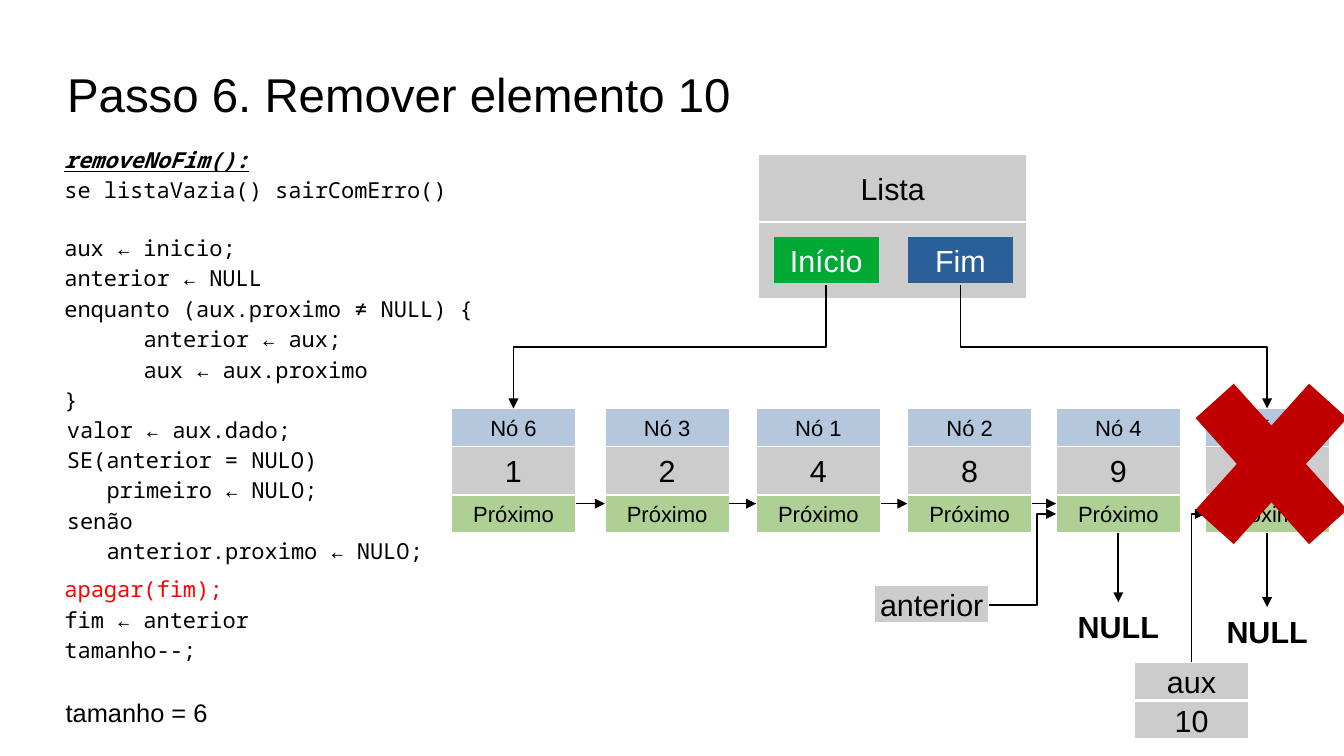
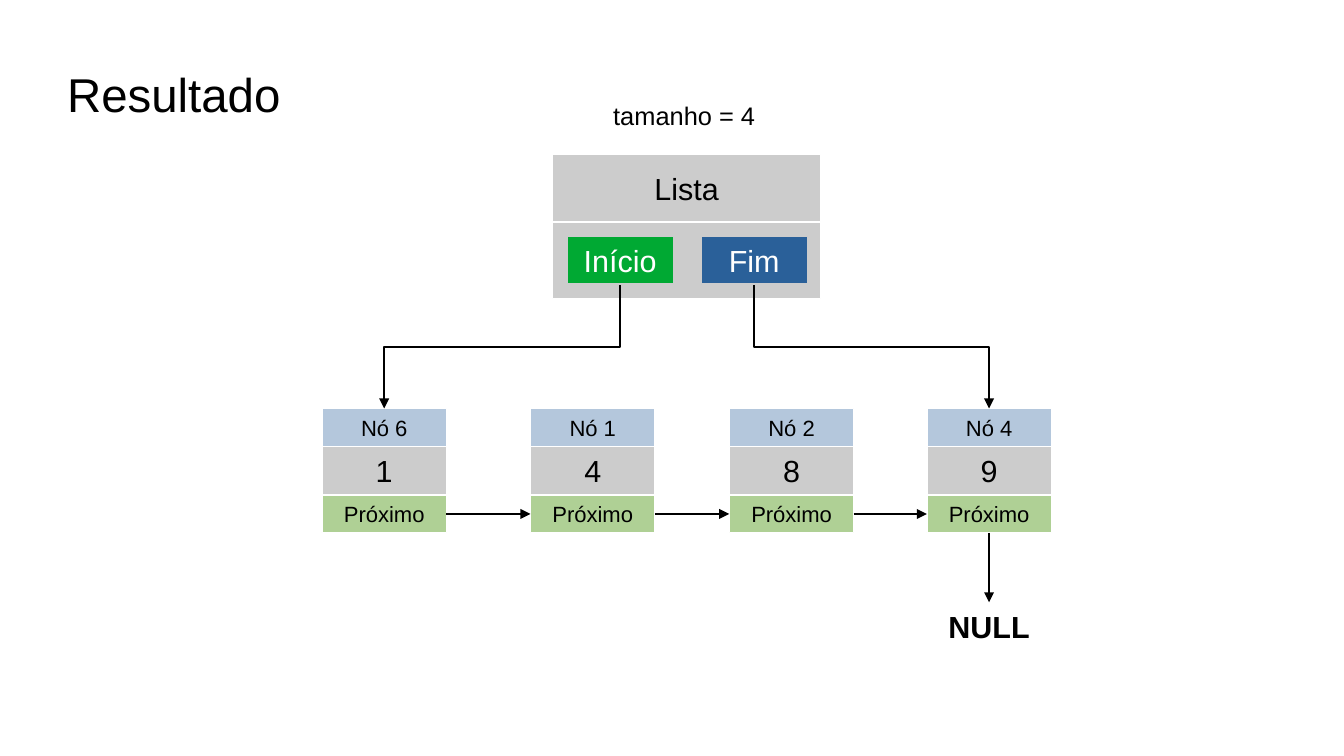
from dataclasses import dataclass
from itertools import pairwise

from lxml.etree import SubElement
from pptx import Presentation
from pptx.dml.color import RGBColor
from pptx.enum.shapes import MSO_CONNECTOR as Link
from pptx.enum.shapes import MSO_SHAPE as Preset
from pptx.enum.text import MSO_ANCHOR as Anchor
from pptx.enum.text import PP_ALIGN as Align
from pptx.oxml.ns import qn
from pptx.shapes.autoshape import Shape
from pptx.shapes.connector import Connector
from pptx.slide import Slide
from pptx.util import Inches, Pt


@dataclass(frozen=True)
class Theme:
    sans: str = "Arial"
    mono: str = "Noto Sans Mono"
    ink: str = "000000"
    paper: str = "FFFFFF"
    gray: str = "CCCCCC"
    blue: str = "B4C7DC"
    green: str = "AFD095"
    start: str = "00A933"
    end: str = "2A6099"
    alert: str = "FF0000"
    cross: str = "C00000"
    title_size: int = 28
    label_size: int = 18
    note_size: int = 15
    small_size: int = 13


THEME = Theme()
NODE_SIDE = 1.02
NODE_TOP = 3.35
BAND = 0.31
LINK_TOP = NODE_TOP + NODE_SIDE - BAND
LINK_MIDDLE = LINK_TOP + BAND / 2
NEXT_Y = 4.13
NULL_TOP = 4.94
POINTER_WIDTH = 0.87
POINTER_BOTTOM = 2.34
TURN = 60000
CHAR_WIDTH = 0.6 * THEME.small_size


@dataclass(frozen=True)
class Box:
    left: float
    top: float
    width: float
    height: float


@dataclass(frozen=True)
class CodeLine:
    text: str
    indent: int = 0
    space_before: int = 0
    color: str = THEME.ink
    heading: bool = False


@dataclass(frozen=True)
class NodeData:
    left: float
    name: str
    value: str

    @property
    def center(self) -> float:
        return self.left + NODE_SIDE / 2


@dataclass(frozen=True)
class Bend:
    begin: tuple[float, float]
    end: tuple[float, float]


STEP_NODES = [
    NodeData(3.7, "Nó 6", "1"),
    NodeData(4.96, "Nó 3", "2"),
    NodeData(6.2, "Nó 1", "4"),
    NodeData(7.44, "Nó 2", "8"),
    NodeData(8.66, "Nó 4", "9"),
    NodeData(9.88, "Nó 5", ""),
]
RESULT_NODES = [
    NodeData(2.64, "Nó 6", "1"),
    NodeData(4.35, "Nó 1", "4"),
    NodeData(5.98, "Nó 2", "8"),
    NodeData(7.6, "Nó 4", "9"),
]
CODE_BLOCKS = [
    (Box(0.43, 1.07, 5, 2.4), [
        CodeLine("removeNoFim():", heading=True),
        CodeLine("se listaVazia() sairComErro()"),
        CodeLine("aux ← inicio;", space_before=16),
        CodeLine("anterior ← NULL"),
        CodeLine("enquanto (aux.proximo ≠ NULL) {"),
        CodeLine("anterior ← aux;", indent=6),
        CodeLine("aux ← aux.proximo", indent=6),
        CodeLine("}"),
    ]),
    (Box(0.45, 3.28, 3.41, 1.52), [
        CodeLine("valor ← aux.dado;"),
        CodeLine("SE(anterior = NULO)"),
        CodeLine("primeiro ← NULO;", indent=3),
        CodeLine("senão"),
        CodeLine("anterior.proximo ← NULO;", indent=3),
    ]),
    (Box(0.43, 4.59, 2.28, 0.93), [
        CodeLine("apagar(fim);", color=THEME.alert),
        CodeLine("fim ← anterior"),
        CodeLine("tamanho--;"),
    ]),
]


def place(box: Box) -> list[int]:
    return [Inches(n) for n in (box.left, box.top, box.width, box.height)]


def add_cell(slide: Slide, box: Box, fill: str, text: str = "",
             size: int = THEME.label_size, color: str = THEME.ink,
             border: str = THEME.paper) -> Shape:
    cell = slide.shapes.add_shape(Preset.RECTANGLE, *place(box))
    cell.shadow.inherit = False
    cell.fill.solid()
    cell.fill.fore_color.rgb = RGBColor.from_string(fill)
    cell.line.color.rgb = RGBColor.from_string(border)
    cell.line.width = Pt(0)
    if text:
        frame = cell.text_frame
        frame.word_wrap = False
        frame.vertical_anchor = Anchor.MIDDLE
        paragraph = frame.paragraphs[0]
        paragraph.text = text
        paragraph.alignment = Align.CENTER
        paragraph.font.name = THEME.sans
        paragraph.font.size = Pt(size)
        paragraph.font.color.rgb = RGBColor.from_string(color)
    return cell


def add_label(slide: Slide, box: Box, text: str, size: int, bold: bool = False,
              align: Align = Align.LEFT) -> Shape:
    label = slide.shapes.add_textbox(*place(box))
    label.text_frame.word_wrap = False
    paragraph = label.text_frame.paragraphs[0]
    paragraph.text = text
    paragraph.alignment = align
    paragraph.font.name = THEME.sans
    paragraph.font.size = Pt(size)
    paragraph.font.bold = bold
    paragraph.font.color.rgb = RGBColor.from_string(THEME.ink)
    return label


def add_title(slide: Slide, text: str) -> None:
    frame = add_label(slide, Box(0.55, 0.25, 9.92, 1.04), text, THEME.title_size).text_frame
    frame.word_wrap = True
    frame.vertical_anchor = Anchor.MIDDLE
    frame.margin_left = frame.margin_right = frame.margin_top = frame.margin_bottom = 0


def add_code(slide: Slide, box: Box, lines: list[CodeLine]) -> None:
    frame = slide.shapes.add_textbox(*place(box)).text_frame
    frame.word_wrap = True
    frame.margin_top = frame.margin_bottom = Inches(0.1)
    for index, line in enumerate(lines):
        paragraph = frame.add_paragraph() if index else frame.paragraphs[0]
        paragraph.text = line.text
        paragraph.line_spacing = 1.15
        paragraph.space_before = Pt(line.space_before)
        font = paragraph.font
        font.name = THEME.mono
        font.size = Pt(THEME.small_size)
        font.color.rgb = RGBColor.from_string(line.color)
        font.bold = font.italic = font.underline = line.heading
        if line.indent:
            margin = Pt(line.indent * CHAR_WIDTH)
            paragraph._p.get_or_add_pPr().set("marL", str(int(margin)))


def add_arrow(slide: Slide, kind: Link, begin: tuple[float, float],
              end: tuple[float, float]) -> Connector:
    arrow = slide.shapes.add_connector(kind, *(Inches(n) for n in (*begin, *end)))
    arrow.line.color.rgb = RGBColor.from_string(THEME.ink)
    arrow.line.width = Pt(1)
    SubElement(arrow.line._get_or_add_ln(), qn("a:tailEnd"), type="triangle")
    SubElement(arrow._element.spPr, qn("a:effectLst"))
    return arrow


def join(slide: Slide, source: Shape, source_side: int, target: Shape, target_side: int) -> None:
    arrow = add_arrow(slide, Link.STRAIGHT, (0, 0), (1, 1))
    arrow.begin_connect(source, source_side)
    arrow.end_connect(target, target_side)


def add_vertical_bend(slide: Slide, bend: Bend) -> Connector:
    (x1, y1), (x2, y2) = bend.begin, bend.end
    length, breadth = abs(y2 - y1), abs(x2 - x1)
    left = (x1 + x2 - length) / 2
    top = (y1 + y2 - breadth) / 2
    arrow = add_arrow(slide, Link.ELBOW, (left, top), (left + length, top + breadth))
    transform = arrow._element.spPr.find(qn("a:xfrm"))
    transform.set("rot", str((270 if x2 > x1 else 90) * TURN))
    if x2 > x1 and y2 > y1:
        transform.set("flipH", "1")
    return arrow


def add_node(slide: Slide, node: NodeData) -> Shape:
    add_cell(slide, Box(node.left, NODE_TOP, NODE_SIDE, NODE_SIDE), THEME.gray, node.value)
    add_cell(slide, Box(node.left, NODE_TOP, NODE_SIDE, BAND), THEME.blue,
             node.name, THEME.small_size)
    return add_cell(slide, Box(node.left, LINK_TOP, NODE_SIDE, BAND), THEME.green,
                    "Próximo", THEME.small_size)


def add_null(slide: Slide, node: NodeData, link: Shape, top: float = NULL_TOP) -> None:
    null = add_label(slide, Box(node.left, top, NODE_SIDE, 0.38), "NULL",
                     THEME.label_size, bold=True, align=Align.CENTER)
    join(slide, link, 2, null, 0)


def add_list(slide: Slide, left: float, nodes: list[NodeData]) -> list[Shape]:
    add_cell(slide, Box(left, 1.27, 2.2, 0.55), THEME.gray, "Lista")
    add_cell(slide, Box(left, 1.82, 2.2, 0.63), THEME.gray)
    links = [add_node(slide, node) for node in nodes]
    pointers = [("Início", THEME.start, 0.12, nodes[0]), ("Fim", THEME.end, 1.22, nodes[-1])]
    for text, fill, offset, node in pointers:
        add_cell(slide, Box(left + offset, 1.94, POINTER_WIDTH, 0.39), fill, text,
                 color=THEME.paper, border=THEME.gray)
        add_vertical_bend(slide, Bend((left + offset + POINTER_WIDTH / 2, POINTER_BOTTOM),
                                      (node.center, NODE_TOP)))
    return links


def build_step(slide: Slide) -> None:
    add_title(slide, "Passo 6. Remover elemento 10")
    links = add_list(slide, 6.22, STEP_NODES)
    for box, lines in CODE_BLOCKS:
        add_code(slide, box, lines)
    add_label(slide, Box(0.44, 5.67, 1.37, 0.33), "tamanho = 6", THEME.note_size)

    *kept, removed = STEP_NODES
    for node, following in pairwise(kept):
        add_arrow(slide, Link.STRAIGHT, (node.left + NODE_SIDE, NEXT_Y), (following.left, NEXT_Y))
    last = kept[-1]
    add_null(slide, last, links[-2])
    add_null(slide, removed, links[-1], 4.98)

    for left, top, text in [(7.17, 4.8, "anterior"), (9.3, 5.43, "aux"), (9.3, 5.75, "10")]:
        add_cell(slide, Box(left, top, 0.94, BAND), THEME.gray, text)
    previous = add_arrow(slide, Link.ELBOW, (8.11, 4.96), (last.left, LINK_MIDDLE))
    guides = previous._element.spPr.find(qn("a:prstGeom")).get_or_add_avLst()
    SubElement(guides, qn("a:gd"), name="adj1", fmla="val 71400")
    current = add_vertical_bend(slide, Bend((9.77, 5.43), (removed.left, LINK_MIDDLE)))
    current._element.spPr.find(qn("a:prstGeom")).set("prst", "bentConnector2")

    cross = slide.shapes.add_shape(Preset.MATH_MULTIPLY, *place(Box(9.53, 2.81, 1.79, 1.99)))
    cross.shadow.inherit = False
    cross.adjustments[0] = 0.235
    cross.fill.solid()
    cross.fill.fore_color.rgb = RGBColor.from_string(THEME.cross)
    cross.line.fill.background()


def build_result(slide: Slide) -> None:
    add_title(slide, "Resultado")
    add_label(slide, Box(4.93, 0.77, 1.37, 0.33), "tamanho = 4", THEME.note_size)
    links = add_list(slide, 4.53, RESULT_NODES)
    for link, following in pairwise(links):
        join(slide, link, 3, following, 1)
    add_null(slide, RESULT_NODES[-1], links[-1])


def main() -> None:
    deck = Presentation()
    deck.slide_width, deck.slide_height = Inches(11.02), Inches(6.2)
    blank = deck.slide_layouts[6]
    for build in (build_step, build_result):
        build(deck.slides.add_slide(blank))
    deck.save("out.pptx")


if __name__ == "__main__":
    main()
